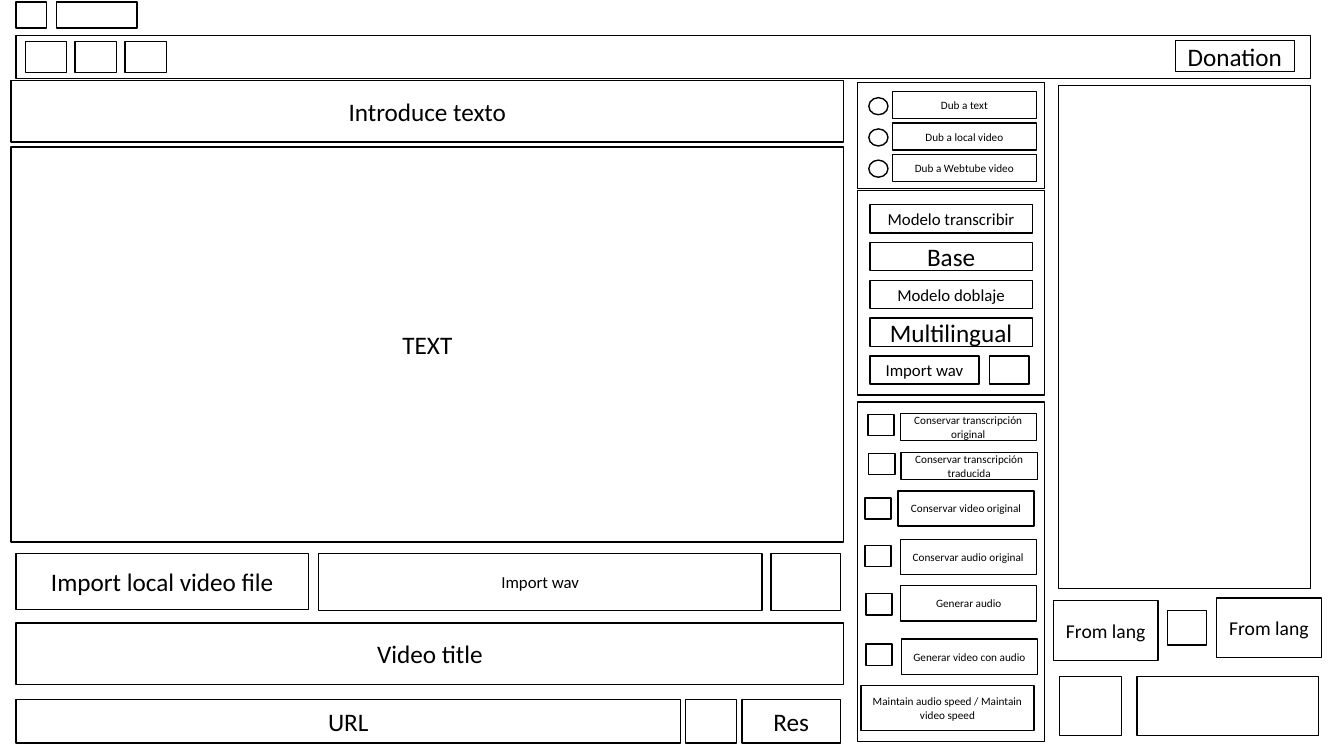
"""Build a wireframe slide of a video dubbing application window."""
from pptx import Presentation
from pptx.dml.color import RGBColor
from pptx.enum import shapes, text
from pptx.util import Pt

RECT = shapes.MSO_SHAPE.RECTANGLE
CIRCLE = shapes.MSO_SHAPE.FLOWCHART_CONNECTOR


def color(fmt, value):
    fmt.solid()
    fmt.fore_color.rgb = RGBColor.from_string(value)


def box(x, y, w, h, label="", size=18, kind=RECT):
    sp = s.shapes.add_shape(kind, Pt(x), Pt(y), Pt(w), Pt(h))
    sp.shadow.inherit = False
    color(sp.fill, "FFFFFF")
    color(sp.line.fill, "000000")
    sp.line.width = Pt(1)
    if label:
        tf = sp.text_frame
        tf.word_wrap = True
        tf.vertical_anchor = text.MSO_ANCHOR.MIDDLE
        p = tf.paragraphs[0]
        p.alignment = text.PP_ALIGN.CENTER
        r = p.add_run()
        r.text = label
        for name, value in {"name": "Calibri", "size": Pt(size)}.items():
            setattr(r.font, name, value)
        color(r.font.fill, "000000")


prs = Presentation()
prs.slide_width, prs.slide_height = Pt(960), Pt(540)
s = prs.slides.add_slide(prs.slide_layouts[6])

header = [
    (11.5, 25.2, 924.5, 31),
    (11.5, 1.4, 21.6, 18.7),
    (40.3, 1.4, 57.6, 18.7),
    (839.5, 28.8, 85, 22.3, "Donation"),
]
main_area = [
    (7.9, 105.1, 594.7, 282.2, "TEXT"),
    (7.9, 57.6, 594.7, 43.9, "Introduce texto"),
    (11.5, 395.3, 208.8, 40.3, "Import local video file"),
    (227.5, 395.3, 316.8, 41, "Import wav", 12),
    (550.8, 395.3, 49.7, 41),
    (11.5, 445, 591.1, 43.9, "Video title"),
    (11.5, 499.7, 474.5, 31, "URL"),
    (489.6, 499.7, 36.7, 31),
    (529.9, 499.7, 70.6, 31, "Res"),
]
language_area = [
    (756, 61.2, 180, 359.3),
    (752.4, 429.1, 74.9, 42.5, "From lang", 14),
    (833.8, 436.3, 28.1, 24.5),
    (869, 427, 74.9, 42.5, "From lang", 14),
    (756.7, 483.1, 44.6, 42.5),
    (812.2, 483.1, 129.6, 42.5),
]
option_panels = [
    (612.7, 59, 133.2, 75.6),
    (612.7, 136.1, 133.2, 146.2),
    (612.7, 287.3, 133.2, 242.6),
    (614.9, 489.6, 123.8, 32.4, "Maintain audio speed / Maintain video speed", 8),
]
for item in header + main_area + language_area + option_panels:
    box(*item)

for i in range(3):
    box(18 + 35.7 * i, 29.5, 29.5, 22.3)

sources = ["Dub a text", "Dub a local video", "Dub a Webtube video"]
for i, label in enumerate(sources):
    box(620.6, 69.8 + 22.3 * i, 13.7, 12.2, kind=CIRCLE)
    box(637.4, 65.5 + 22.4 * i, 103, 19.4, label, 8)

models = [
    ("Modelo transcribir", 12, 115.9),
    ("Base", 18, 115.9),
    ("Modelo doblaje", 12, 115.9),
    ("Multilingual", 18, 115.9),
    ("Import wav", 12, 77.8),
]
for i, (label, size, width) in enumerate(models):
    box(621.4, 146.2 + 27 * i, width, 20.2, label, size)
box(707, 254.2, 28.1, 20.2)

outputs = [
    ("Conservar transcripción original", 643, 295.2, 19.4, 619.9, 295.9),
    ("Conservar transcripción traducida", 643.7, 323.3, 19.4, 620.6, 324),
    ("Conservar video original", 641.5, 350.6, 25.2, 617.8, 355.7),
    ("Conservar audio original", 643, 385.2, 25.2, 617.8, 389.5),
    ("Generar audio", 643.4, 418.3, 25.2, 618.5, 424.1),
    ("Generar video con audio", 643.9, 456.5, 25.2, 618.5, 460.1),
]
for label, x, y, height, check_x, check_y in outputs:
    box(x, y, 97.2, height, label, 8)
    box(check_x, check_y, 18.7, 15.1)

prs.save("out.pptx")
